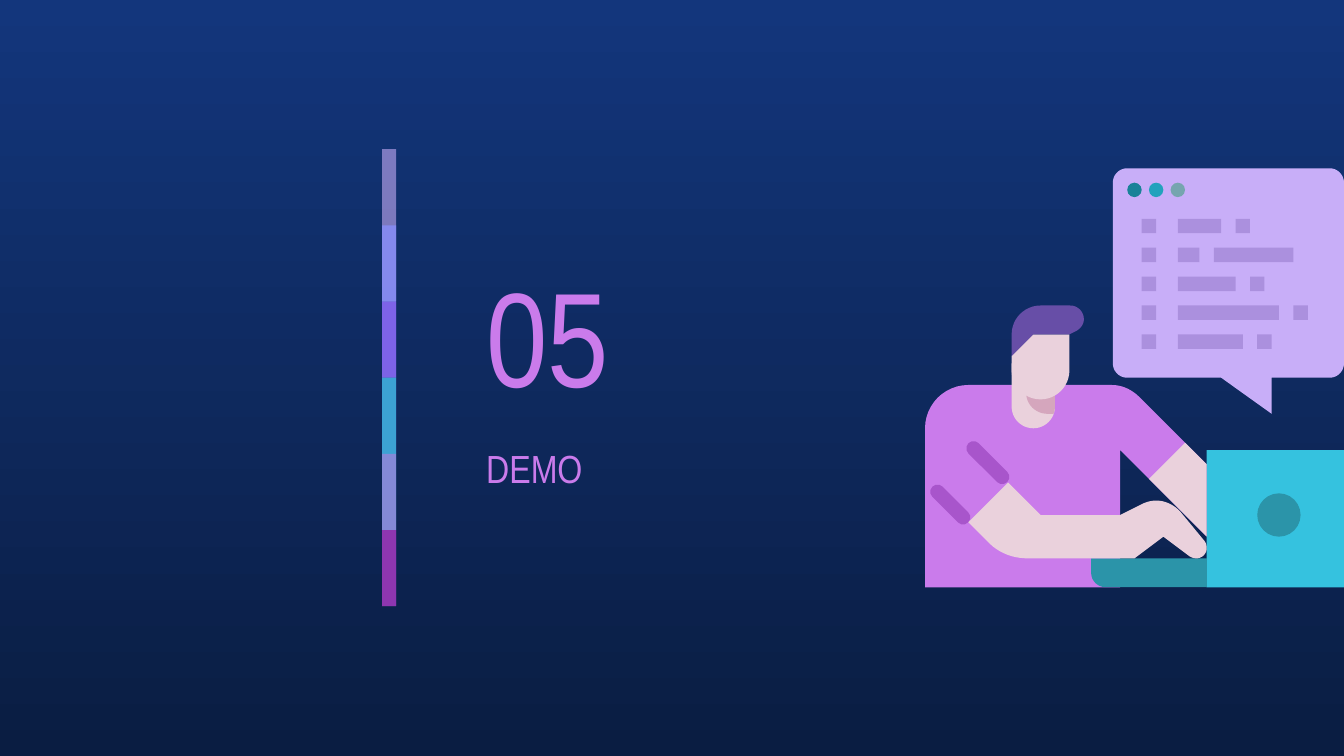
from dataclasses import dataclass

from lxml.etree import SubElement
from pptx import Presentation
from pptx.dml.color import RGBColor
from pptx.enum.shapes import MSO_SHAPE
from pptx.enum.text import MSO_ANCHOR, MSO_AUTO_SIZE, PP_ALIGN
from pptx.oxml.ns import qn
from pptx.util import Pt

NAVY_TOP = RGBColor(0x13, 0x36, 0x7C)
NAVY_BOTTOM = RGBColor(0x0A, 0x1D, 0x42)
LILAC = RGBColor(0xC8, 0xAE, 0xF8)
PERIWINKLE = RGBColor(0x87, 0x8F, 0xFF)
VIOLET = RGBColor(0x91, 0x54, 0xF8)
CYAN = RGBColor(0x35, 0xC2, 0xDF)
ORCHID = RGBColor(0xCA, 0x7B, 0xEB)
PURPLE = RGBColor(0x97, 0x2C, 0xB4)
FOLD = RGBColor(0xA8, 0x55, 0xCB)
TEAL = RGBColor(0x2B, 0x94, 0xA9)
SKIN = RGBColor(0xEA, 0xD1, 0xDC)
SKIN_SHADE = RGBColor(0xD5, 0xA6, 0xBD)
HAIR = RGBColor(0x67, 0x4E, 0xA7)
CODE = RGBColor(0xAB, 0x90, 0xDE)
DOTS = (RGBColor(0x19, 0x82, 0x98), RGBColor(0x22, 0xA2, 0xBC),
        RGBColor(0x76, 0xA5, 0xAF))

# The illustration sits on a grid of square units
UNIT, GRID_LEFT, GRID_TOP = 5.16, 660.72, 120.2
CURVE_STEPS = 12


@dataclass
class Outline:
    """Points in grid units: pairs are corners, sextets are Bezier curves."""
    color: RGBColor
    points: list


@dataclass
class Block:
    """Preset shape in grid units."""
    color: RGBColor
    x: float
    y: float
    w: float
    h: float
    kind: MSO_SHAPE = MSO_SHAPE.RECTANGLE
    angle: float = 0


@dataclass
class Bar:
    color: RGBColor
    opacity: int
    steps: int = 2


@dataclass
class Label:
    text: str
    size: int
    box: tuple


def finish(shape, color: RGBColor) -> None:
    shape.shadow.inherit = False
    shape.fill.solid()
    shape.fill.fore_color.rgb = color
    shape.line.fill.background()


def gx(x: float) -> Pt:
    return Pt(GRID_LEFT + x * UNIT)


def gy(y: float) -> Pt:
    return Pt(GRID_TOP + y * UNIT)


def flatten(points: list) -> list:
    """Turn corners and curves into a list of plain points."""
    flat = [points[0]]
    for step in points[1:]:
        if len(step) == 2:
            flat.append(step)
            continue
        start, ctrl1, ctrl2, end = flat[-1], step[:2], step[2:4], step[4:]
        for i in range(1, CURVE_STEPS + 1):
            t = i / CURVE_STEPS
            u = 1 - t
            flat.append(tuple(
                u**3 * a + 3 * u * u * t * b + 3 * u * t * t * c + t**3 * d
                for a, b, c, d in zip(start, ctrl1, ctrl2, end)))
    return flat


def draw_outline(shapes, outline: Outline) -> None:
    pts = [(gx(x), gy(y)) for x, y in flatten(outline.points)]
    builder = shapes.build_freeform(*pts[0], scale=1.0)
    builder.add_line_segments(pts[1:], close=True)
    finish(builder.convert_to_shape(), outline.color)


def draw_block(shapes, b: Block) -> None:
    sp = shapes.add_shape(b.kind, gx(b.x), gy(b.y), Pt(b.w * UNIT), Pt(b.h * UNIT))
    if b.kind == MSO_SHAPE.ROUNDED_RECTANGLE:
        sp.adjustments[0] = 0.5
    sp.rotation = b.angle
    finish(sp, b.color)


def draw_bar(shapes, bar: Bar, top: float, step: float) -> None:
    sp = shapes.add_shape(MSO_SHAPE.RECTANGLE, Pt(272.9), Pt(top),
                          Pt(10.1), Pt(bar.steps * step))
    finish(sp, bar.color)
    clr = sp.fill._xPr.find(qn("a:solidFill"))[0]
    SubElement(clr, qn("a:alpha")).set("val", str(bar.opacity * 1000))


def fill_placeholder(ph, label: Label) -> None:
    ph.left, ph.top, ph.width, ph.height = (Pt(v) for v in label.box)
    tf = ph.text_frame
    tf.word_wrap = True
    tf.auto_size = MSO_AUTO_SIZE.NONE
    tf.vertical_anchor = MSO_ANCHOR.MIDDLE
    tf.margin_left = tf.margin_right = tf.margin_top = tf.margin_bottom = Pt(9.6)
    p = tf.paragraphs[0]
    p.alignment = PP_ALIGN.LEFT
    p.space_before = Pt(0)
    r = p.add_run()
    r.text = label.text
    r.font.name, r.font.size = "Arial Narrow", Pt(label.size)
    r.font.color.rgb = ORCHID


BARS = [Bar(LILAC, 59), Bar(PERIWINKLE, 74), Bar(VIOLET, 53),
        Bar(CYAN, 76), Bar(ORCHID, 56), Bar(PURPLE, 74, steps=1)]

# Man at the laptop, from back to front
MAN = [
    Outline(ORCHID, [(6, 30), (2.7, 30, 0, 32.7, 0, 36), (0, 58), (27, 58), (27, 39),
                     (39, 51), (39, 41), (29.5, 31.5), (28.5, 30.6, 27.3, 30, 25.8, 30)]),
    Block(FOLD, 0, 45.55, 7, 2, MSO_SHAPE.ROUNDED_RECTANGLE, 45),
    Block(FOLD, 4.9, 39.75, 7.6, 2, MSO_SHAPE.ROUNDED_RECTANGLE, 45),
    Block(CYAN, 39, 39, 19, 19),
    Outline(TEAL, [(23, 54), (23, 56), (23, 57.1, 23.9, 58, 25, 58), (39, 58), (39, 54)]),
    Outline(SKIN, [(12, 27), (12, 33), (12, 34.66, 13.34, 36, 15, 36),
                   (16.66, 36, 18, 34.66, 18, 33), (18, 27)]),
    Outline(SKIN_SHADE, [(14, 27), (14, 31), (14, 32.7, 15.3, 34, 17, 34), (17.8, 34),
                         (17.9, 33.7, 18, 33.4, 18, 33), (18, 27)]),
    Outline(SKIN, [(11.5, 43.5), (6, 49), (8.7, 51.7), (10.1, 53.2, 12.1, 54, 14.2, 54),
                   (29, 54), (33, 51), (36.6, 53.7), (36.9, 53.9, 37.2, 54, 37.6, 54),
                   (38.3, 54, 39, 53.4, 39, 52.6), (39, 52.2, 38.9, 51.9, 38.7, 51.6),
                   (35.4, 47.6), (34.5, 46.6, 33.3, 46, 32, 46),
                   (31.3, 46, 30.6, 46.2, 30, 46.5), (27, 48), (16, 48)]),
    Outline(SKIN, [(36, 38), (31, 43), (39, 51), (39, 41)]),
    Block(TEAL, 46, 45, 6, 6, MSO_SHAPE.OVAL),
    Outline(SKIN, [(15, 23), (12, 26), (12, 28), (12, 30.2, 13.8, 32, 16, 32),
                   (18.2, 32, 20, 30.2, 20, 28), (20, 23)]),
    Outline(HAIR, [(16, 19), (13.8, 19, 12, 20.8, 12, 23), (12, 26), (15, 23), (20, 23),
                   (21, 22.5), (21.6, 22.1, 22, 21.6, 22, 20.9),
                   (22, 19.8, 21.1, 19, 20.1, 19)]),
]

BUBBLE = Outline(LILAC, [
    (28, 0), (26.9, 0, 26, 0.9, 26, 2), (26, 27), (26, 28.1, 26.9, 29, 28, 29),
    (41, 29), (48, 34), (48, 29), (56, 29), (57.1, 29, 58, 28.1, 58, 27),
    (58, 2), (58, 0.9, 57.1, 0, 56, 0)])
# Widths of the two words on each code line
CODE_LINES = [(6, 2), (3, 11), (8, 2), (14, 2), (9, 2)]

prs = Presentation()
prs.slide_width, prs.slide_height = Pt(960), Pt(540)
s = prs.slides.add_slide(prs.slide_layouts[0])

# Background gradient
bg = s.background.fill
bg.gradient()
bg.gradient_angle = 270
for stop, color, pos in zip(bg.gradient_stops, (NAVY_TOP, NAVY_BOTTOM), (0, 1)):
    stop.color.rgb, stop.position = color, pos

# Section number and name
LABELS = [Label("05", 96, (337.7, 173.5, 167.8, 129.6)),
          Label("DEMO", 28, (337.7, 302.4, 275, 64.1))]
for ph, label in zip(s.placeholders, LABELS):
    fill_placeholder(ph, label)

# Overlapping translucent bars
strip = s.shapes.add_group_shape().shapes
BAR_STEP = 54.4
for i, bar in enumerate(BARS):
    draw_bar(strip, bar, 106.6 + i * BAR_STEP, BAR_STEP)

# Speech bubble with window dots and code lines
code = [Block(color, 28 + 3 * i, 2, 2, 2, MSO_SHAPE.OVAL) for i, color in enumerate(DOTS)]
for i, (first, second) in enumerate(CODE_LINES):
    y = 7 + 4 * i
    for x, w in ((30, 2), (35, first), (35 + first + 2, second)):
        code.append(Block(CODE, x, y, w, 2))

scene = s.shapes.add_group_shape().shapes
for part in [*MAN, BUBBLE, *code]:
    draw = draw_outline if isinstance(part, Outline) else draw_block
    draw(scene, part)

prs.save("out.pptx")
